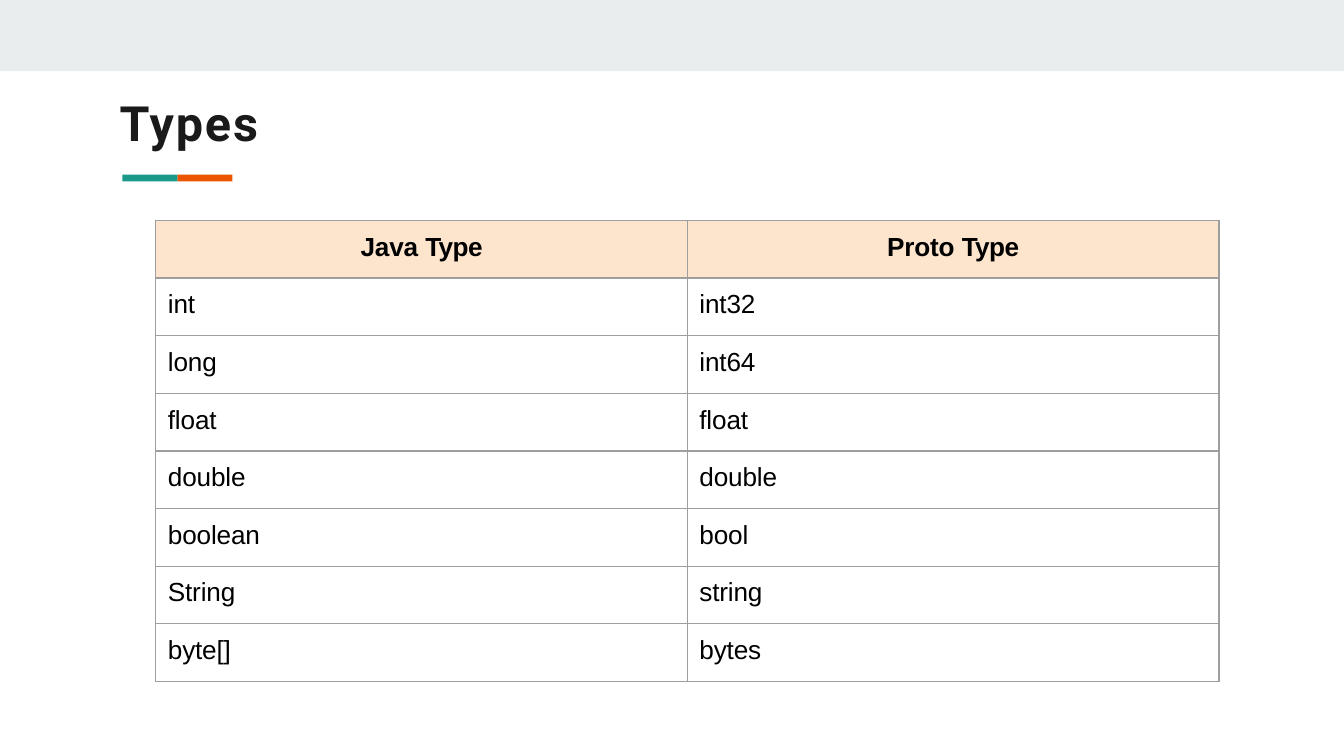
import pptx
import pptx.dml.color
import pptx.enum.shapes
import pptx.enum.text
import pptx.oxml.ns
import pptx.util
import lxml.etree

Inches = pptx.util.Inches
RGBColor = pptx.dml.color.RGBColor
ALIGN = pptx.enum.text.PP_ALIGN

MIST = RGBColor(0xE9, 0xED, 0xEE)
ORANGE = RGBColor(0xEB, 0x55, 0x00)
TEAL = RGBColor(0x1A, 0x99, 0x88)
INK = RGBColor(0x1A, 0x1A, 0x1A)
BLACK = RGBColor(0, 0, 0)
PEACH = RGBColor(0xFC, 0xE4, 0xCD)
GREY = RGBColor(0x9E, 0x9E, 0x9E)

WIDTH = 10
HEIGHT = WIDTH * 9 / 16

HEADS = [
    [("Java ", -0.1), ("Type", -0.3)],
    [("Proto ", -0.1), ("Type", -0.3)],
]
PAIRS = [
    ("int", "int32"),
    ("long", "int64"),
    ("float", "float"),
    ("double", "double"),
    ("boolean", "bool"),
    ("String", "string"),
    ("byte[]", "bytes"),
]


def write(frame, parts, size=14, font="Arial", color=BLACK, bold=False, align=ALIGN.LEFT):
    """Fill a text frame with one paragraph of (text, letter spacing) parts."""
    para = frame.paragraphs[0]
    para.alignment = align
    for text, gap in parts:
        run = para.add_run()
        run.text = text
        run.font.size = pptx.util.Pt(size)
        run.font.name = font
        run.font.bold = bold
        run.font.color.rgb = color
        run.font._element.set("spc", str(round(gap * 100)))


def add_bar(slide, left, top, width, height, color):
    """Draw a plain filled bar."""
    kind = pptx.enum.shapes.MSO_SHAPE.RECTANGLE
    bar = slide.shapes.add_shape(kind, Inches(left), Inches(top), Inches(width), Inches(height))
    bar.shadow.inherit = False
    bar.fill.solid()
    bar.fill.fore_color.rgb = color
    bar.line.fill.background()


def add_title(slide, parts):
    """Place the slide title."""
    box = slide.shapes.add_textbox(Inches(0.88), Inches(0.68), Inches(1.06), Inches(0.46))
    frame = box.text_frame
    frame.margin_left = frame.margin_top = Inches(0.01)
    frame.margin_right = frame.margin_bottom = 0
    frame.word_wrap = True
    write(frame, parts, size=26, font="Roboto", color=INK, bold=True)


def add_edges(cell):
    """Give a cell thin grey borders on all four sides."""
    props = cell._tc.get_or_add_tcPr()
    for side in ("lnL", "lnR", "lnT", "lnB"):
        line = lxml.etree.SubElement(props, pptx.oxml.ns.qn(f"a:{side}"), w=str(pptx.util.Pt(0.75)))
        fill = lxml.etree.SubElement(line, pptx.oxml.ns.qn("a:solidFill"))
        lxml.etree.SubElement(fill, pptx.oxml.ns.qn("a:srgbClr"), val=str(GREY))


def set_cell(cell, parts, head):
    """Format and fill one table cell."""
    cell.margin_left = 0 if head else Inches(0.09)
    cell.margin_top = Inches(0.09)
    cell.margin_right = cell.margin_bottom = 0
    add_edges(cell)
    if head:
        cell.fill.solid()
        cell.fill.fore_color.rgb = PEACH
    else:
        cell.fill.background()
    align = ALIGN.CENTER if head else ALIGN.LEFT
    write(cell.text_frame, parts, bold=head, align=align)


def add_types(slide):
    """Build the table that maps Java types to Proto types."""
    rows = [HEADS] + [[[(name, -0.1)] for name in pair] for pair in PAIRS]
    frame = slide.shapes.add_table(
        len(rows), len(HEADS), Inches(1.16), Inches(1.64), Inches(7.91), Inches(3.43)
    )
    table = frame.table
    table.first_row = table.horz_banding = False
    for i, row in enumerate(rows):
        for j, parts in enumerate(row):
            set_cell(table.cell(i, j), parts, head=i == 0)


def main():
    """Build and save the slide."""
    deck = pptx.Presentation()
    deck.slide_width, deck.slide_height = Inches(WIDTH), Inches(HEIGHT)
    slide = deck.slides.add_slide(deck.slide_layouts[6])
    add_bar(slide, 0, 0, WIDTH, 0.53, MIST)
    for left, color in ((1.32, ORANGE), (0.91, TEAL)):
        add_bar(slide, left, 1.3, 0.41, 0.05, color)
    add_title(slide, [("T", -1.2), ("ypes", 1)])
    add_types(slide)
    deck.save("out.pptx")


if __name__ == "__main__":
    main()
